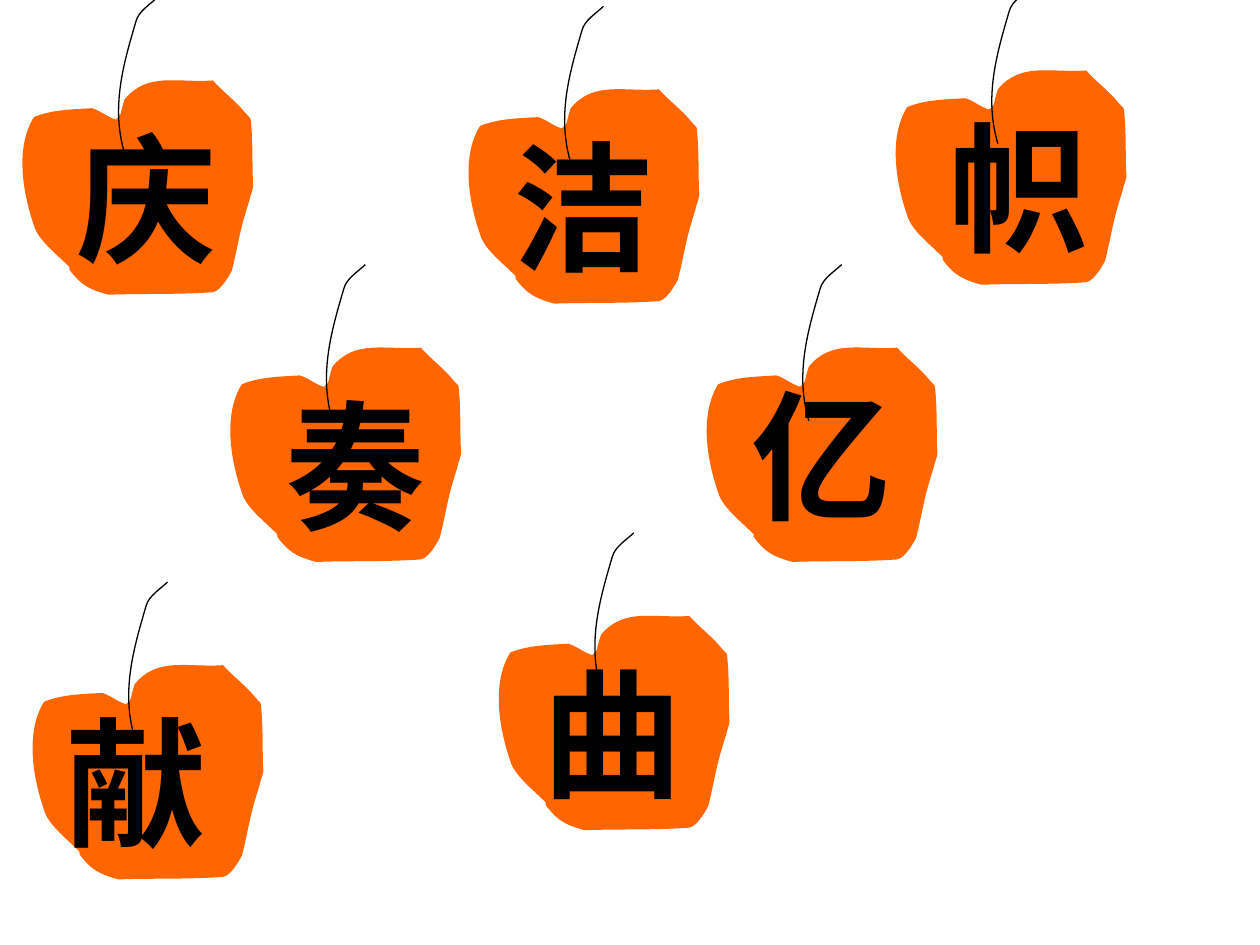
from lxml import etree
from pptx import Presentation
from pptx.dml.color import RGBColor
from pptx.enum.text import MSO_AUTO_SIZE
from pptx.oxml.ns import qn
from pptx.util import Pt

GROW = MSO_AUTO_SIZE.SHAPE_TO_FIT_TEXT
COLORS = {"fruit": "FF6600", "ink": "000000"}
FONT = "Times New Roman"
UNIT = Pt(0.72)

FRUIT = [
    (80, 38),
    (73, 36), (68, 31), (61, 29),
    (45, 30), (30, 30), (15, 36),
    (0, 60), (6, 96), (15, 122),
    (18, 133), (32, 144), (39, 151),
    (49, 160), (37, 151), (48, 163),
    (55, 171), (63, 174), (74, 177),
    (101, 176), (129, 177), (157, 175),
    (164, 174), (172, 158), (172, 158),
    (176, 143), (178, 128), (183, 112),
    (184, 108), (186, 103), (187, 98),
    (188, 96), (189, 91), (189, 91),
    (188, 73), (189, 56), (187, 38),
    (187, 36), (184, 35), (183, 33),
    (175, 23), (165, 16), (157, 7),
    (129, 9), (105, 0), (87, 22),
    (82, 37), (86, 32), (80, 38),
]
STEM = [
    (87, 65),
    (76, 28), (86, -6), (96, -40),
    (98, -48), (108, -54), (113, -59),
]
APPLES = [
    ("洁", (263.5, 46.1), (286.6, 65.5)),
    ("庆", (8.6, 41), (36.7, 60.5)),
    ("奏", (127.4, 193.7), (156.2, 213.1)),
    ("帜", (507.6, 35.3), (535.7, 54.7)),
    ("亿", (399.6, 193.7), (422.6, 207.4)),
    ("曲", (280.8, 347), (303.1, 366.5)),
    ("献", (14.4, 375.1), (31, 394.6)),
]


def color(name):
    return RGBColor.from_string(COLORS[name])


def add_curve(shapes, points, spot, close):
    pen = shapes.build_freeform(*points[0], scale=UNIT)
    pen.add_line_segments(points[1:], close=close)
    shape = pen.convert_to_shape(Pt(spot[0]), Pt(spot[1]))
    shape.shadow.inherit = False
    lines = list(shape.element.iter(qn("a:lnTo")))
    for i in range(0, len(points) - 1, 3):
        curve = etree.Element(qn("a:cubicBezTo"))
        lines[i].addprevious(curve)
        for line in lines[i:i + 3]:
            curve.append(line[0])
            line.getparent().remove(line)
    return shape


def add_apple(slide, spot):
    group = slide.shapes.add_group_shape()
    fruit = add_curve(group.shapes, FRUIT, spot, True)
    fruit.fill.solid()
    fruit.fill.fore_color.rgb = color("fruit")
    fruit.line.fill.background()
    stem = add_curve(group.shapes, STEM, spot, False)
    stem.fill.background()
    stem.line.color.rgb = color("ink")
    stem.line.width = Pt(0.75)


def add_word(slide, text, spot):
    box = slide.shapes.add_textbox(Pt(spot[0]), Pt(spot[1]), Pt(94.3), Pt(103.7))
    frame = box.text_frame
    frame.word_wrap = False
    frame.auto_size = GROW
    frame.text = text
    font = frame.paragraphs[0].runs[0].font
    font.name = FONT
    font.size = Pt(80)
    font.bold = True
    font.color.rgb = color("ink")


def main():
    deck = Presentation()
    deck.slide_width, deck.slide_height = Pt(720), Pt(540)
    slide = deck.slides.add_slide(deck.slide_layouts[6])
    for _, spot, _ in APPLES:
        add_apple(slide, spot)
    for text, _, spot in APPLES:
        add_word(slide, text, spot)
    deck.save("out.pptx")


if __name__ == "__main__":
    main()
